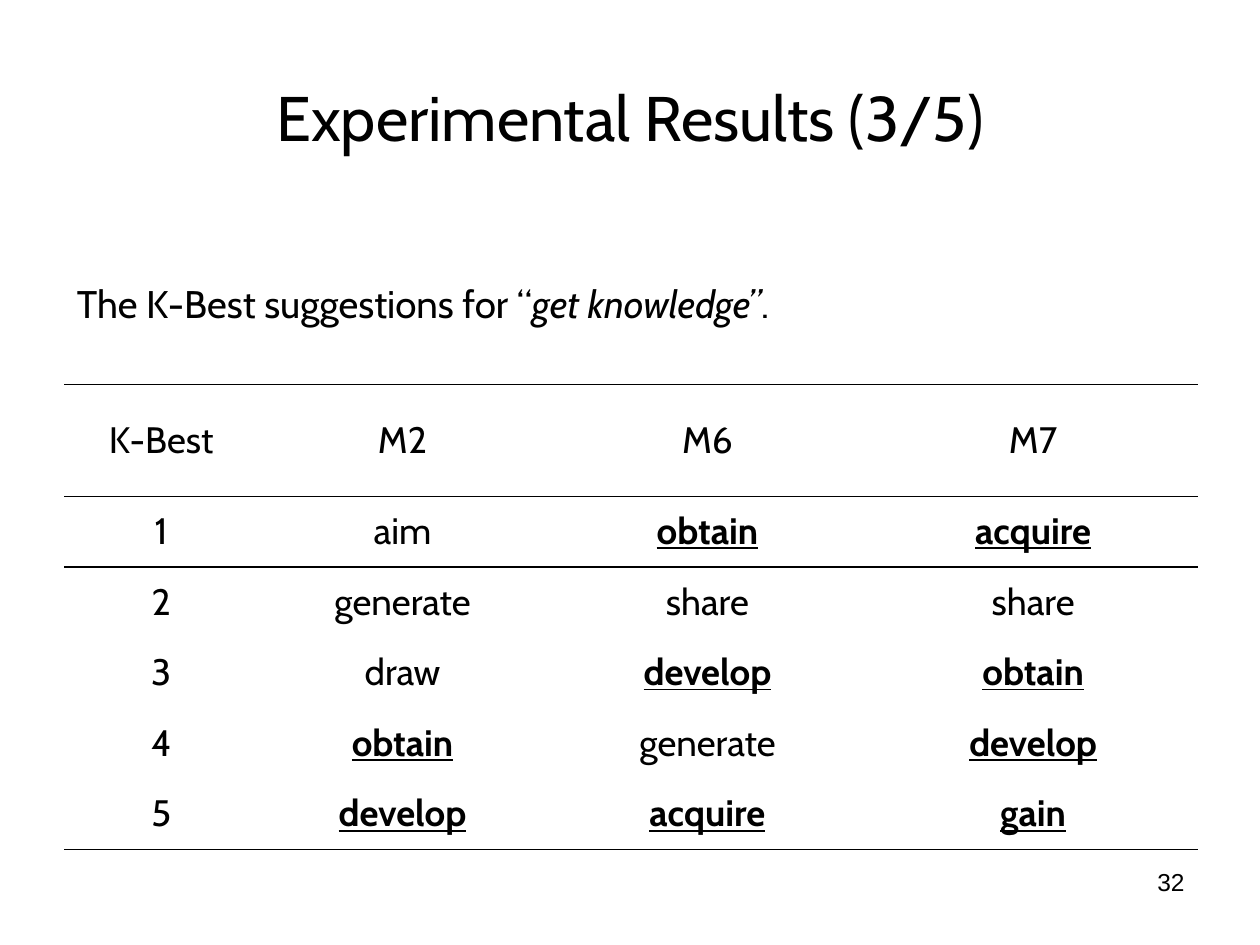
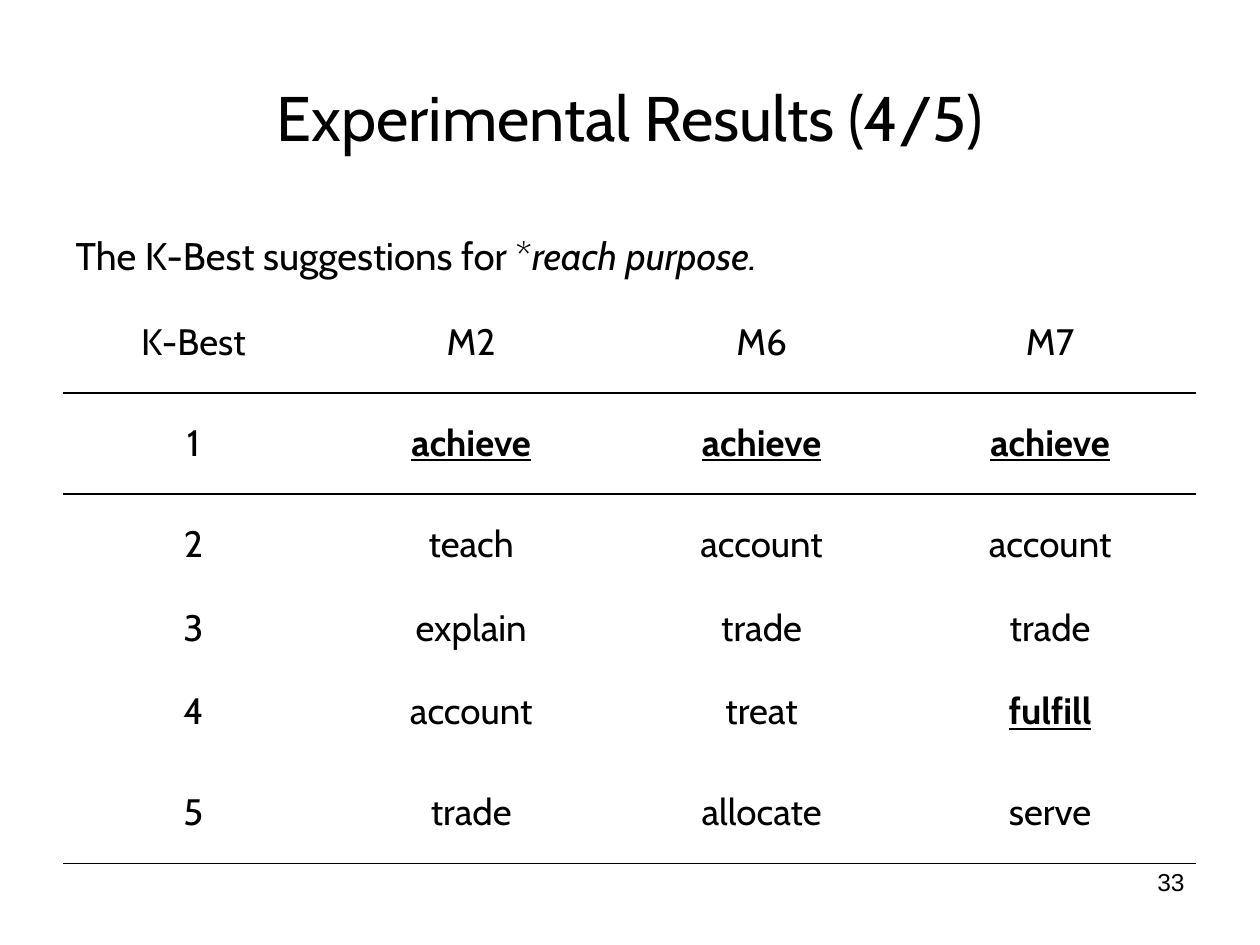
from dataclasses import dataclass

from lxml.etree import SubElement
from pptx import Presentation
from pptx.dml.color import RGBColor
from pptx.enum.text import MSO_ANCHOR as Anchor, PP_ALIGN as Align
from pptx.oxml.ns import qn
from pptx.util import Emu, Inches, Pt


@dataclass(frozen=True)
class Theme:
    ink: str = "000000"
    font: str = "Cabin"
    number_font: str = "Arial"
    title_size: float = 36
    caption_size: float = 22
    cell_size: float = 21
    number_size: float = 14
    caption_space: float = 5.5
    thin_rule: float = 0.45
    hanging_indent: float = 0.38
    plain_table_style: str = "{2D5ABB26-0587-4C30-8999-92F81FD0307C}"


THEME = Theme()
WIDTH, HEIGHT = Inches(10), Inches(7.5)
COLUMN, ROW = WIDTH / 20, HEIGHT / 30
TITLE_ONLY = 5


@dataclass(frozen=True)
class Area:
    """A place on the grid, in columns and rows."""
    left: float
    top: float
    width: float
    height: float

    def box(self) -> tuple[Emu, ...]:
        return (across(self.left), down(self.top),
                across(self.width), down(self.height))


@dataclass(frozen=True)
class Piece:
    text: str
    italic: bool = False
    marked: bool = False


@dataclass(frozen=True)
class ResultSlide:
    title: str
    number: int
    left: float
    top: float
    column_widths: list[float]
    row_heights: list[float]
    caption: list[Piece]
    suggestions: list[str]  # one line per rank, one word per model
    good_verbs: set[str]
    header_rule: float
    caption_rule: bool


TITLE_AREA = Area(1, 1.2, 18, 5)
NUMBER_AREA = Area(14.34, 27.32, 4.66, 2.08)
HEADER = ["K-Best", "M2", "M6", "M7"]

RESULTS = [
    ResultSlide(
        title="Experimental Results (3/5)", number=32, left=1.02, top=7.12,
        column_widths=[3.08, 4.58, 5.1, 5.24],
        row_heights=[5.08, 3.56] + [2.24] * 5,
        caption=[Piece("The K-Best suggestions for “"),
                 Piece("get knowledge”", italic=True), Piece(".")],
        suggestions=["aim obtain acquire", "generate share share",
                     "draw develop obtain", "obtain generate develop",
                     "develop acquire gain"],
        good_verbs={"obtain", "acquire", "develop", "gain"},
        header_rule=0.96, caption_rule=True),
    ResultSlide(
        title="Experimental Results (4/5)", number=33, left=1, top=7,
        column_widths=[4.14, 4.68, 4.54, 4.62],
        row_heights=[2.28, 3.2, 3.2, 3.2, 2.12, 3.2, 3.2],
        caption=[Piece("The K-Best suggestions for *"),
                 Piece("reach purpose.", italic=True)],
        suggestions=["achieve achieve achieve", "teach account account",
                     "explain trade trade", "account treat fulfill",
                     "trade allocate serve"],
        good_verbs={"achieve", "fulfill"},
        header_rule=1.08, caption_rule=False),
]


def across(columns: float) -> Emu:
    return Emu(round(columns * COLUMN))


def down(rows: float) -> Emu:
    return Emu(round(rows * ROW))


def write(paragraph, pieces: list[Piece], size: float, align: Align,
          font: str = THEME.font) -> None:
    paragraph.alignment = align
    for piece in pieces:
        run = paragraph.add_run()
        run.text = piece.text
        run.font.name = font
        run.font.size = Pt(size)
        run.font.bold = run.font.underline = piece.marked
        run.font.italic = piece.italic
        run.font.color.rgb = RGBColor.from_string(THEME.ink)


def hang(paragraph) -> None:
    properties = paragraph._p.get_or_add_pPr()
    indent = Inches(THEME.hanging_indent)
    properties.set("marL", str(indent))
    properties.set("indent", str(-indent))


def rule_cell(cell, side: str, points: float) -> None:
    line = SubElement(cell._tc.get_or_add_tcPr(), qn(f"a:{side}"),
                      w=str(Pt(points)))
    fill = SubElement(line, qn("a:solidFill"))
    SubElement(fill, qn("a:srgbClr"), val=THEME.ink)


def add_title(slide, text: str) -> None:
    title = slide.shapes.title
    title.left, title.top, title.width, title.height = TITLE_AREA.box()
    title.text_frame.vertical_anchor = Anchor.MIDDLE
    write(title.text_frame.paragraphs[0], [Piece(text)],
          THEME.title_size, Align.CENTER)


def add_number(slide, number: int) -> None:
    frame = slide.shapes.add_textbox(*NUMBER_AREA.box()).text_frame
    frame.word_wrap = True
    write(frame.paragraphs[0], [Piece(str(number))], THEME.number_size,
          Align.RIGHT, THEME.number_font)


def add_suggestions(slide, result: ResultSlide) -> None:
    ranks = [[str(rank), *words.split()]
             for rank, words in enumerate(result.suggestions, 1)]
    words_by_row = [HEADER, *ranks]
    area = Area(result.left, result.top,
                sum(result.column_widths), sum(result.row_heights))
    table = slide.shapes.add_table(len(result.row_heights), len(HEADER),
                                   *area.box()).table
    table.first_row = table.horz_banding = False
    table._tbl.tblPr.find(qn("a:tableStyleId")).text = THEME.plain_table_style
    for column, width in zip(table.columns, result.column_widths):
        column.width = across(width)
    for row, height in zip(table.rows, result.row_heights):
        row.height = down(height)

    # Rules lie below the caption, the header and the last rank
    rules = {1: result.header_rule, len(ranks) + 1: THEME.thin_rule}
    if result.caption_rule:
        rules[0] = THEME.thin_rule
    for index, row in enumerate(table.rows):
        for cell in row.cells:
            if index - 1 in rules:
                rule_cell(cell, "lnT", rules[index - 1])
            if index in rules:
                rule_cell(cell, "lnB", rules[index])
            cell.fill.background()
            cell.vertical_anchor = Anchor.MIDDLE

    # Caption across the table
    caption_cell = table.cell(0, 0)
    caption_cell.merge(table.cell(0, len(HEADER) - 1))
    caption = caption_cell.text_frame.paragraphs[0]
    caption.space_before = Pt(THEME.caption_space)
    write(caption, result.caption, THEME.caption_size, Align.LEFT)

    # Header and ranked verbs
    for row_index, words in enumerate(words_by_row, 1):
        for column_index, word in enumerate(words):
            paragraph = table.cell(row_index, column_index).text_frame.paragraphs[0]
            hang(paragraph)
            write(paragraph, [Piece(word, marked=word in result.good_verbs)],
                  THEME.cell_size, Align.CENTER)


def main() -> None:
    presentation = Presentation()
    presentation.slide_width, presentation.slide_height = WIDTH, HEIGHT
    for result in RESULTS:
        slide = presentation.slides.add_slide(
            presentation.slide_layouts[TITLE_ONLY])
        add_title(slide, result.title)
        add_suggestions(slide, result)
        add_number(slide, result.number)
    presentation.save("out.pptx")


if __name__ == "__main__":
    main()
